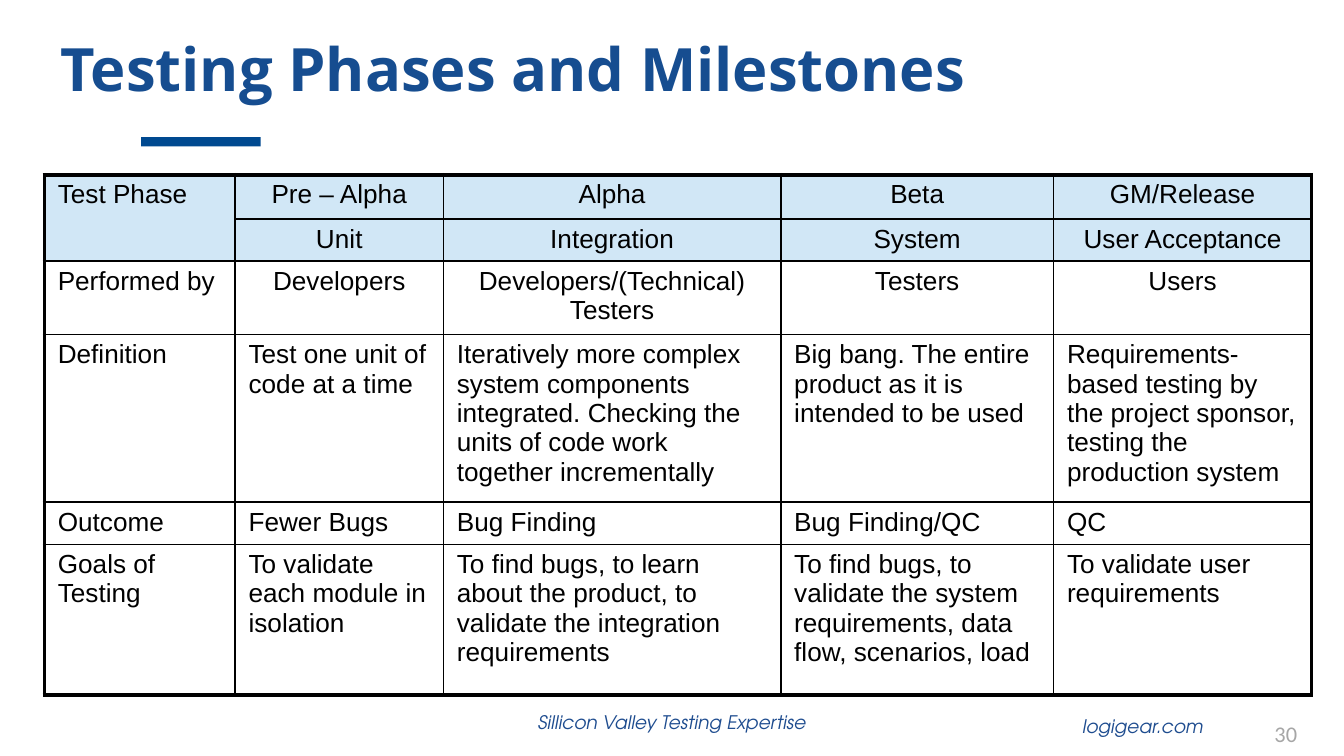
from dataclasses import dataclass

from lxml.etree import SubElement
from pptx import Presentation
from pptx.dml.color import RGBColor
from pptx.enum.shapes import MSO_SHAPE as Shape
from pptx.enum.text import MSO_ANCHOR as Anchor, PP_ALIGN as Align
from pptx.oxml.ns import qn
from pptx.util import Inches, Pt

BLACK = RGBColor(0x00, 0x00, 0x00)
NAVY = RGBColor(0x16, 0x4D, 0x90)
FOOTER_BLUE = RGBColor(0x1E, 0x4C, 0x8F)
BAR_BLUE = RGBColor(0x00, 0x49, 0x90)
HEADER_BLUE = RGBColor(0xD1, 0xE7, 0xF6)
GREY = RGBColor(0xA6, 0xA6, 0xA6)

THIN, THICK = Pt(1), Pt(2.25)
HEADER_ROWS = 2
CENTERED_ROWS = 3
COL_WIDTHS = (1.42, 1.55, 2.51, 2.03, 1.92)
ROW_HEIGHTS = (0.33, 0.31, 0.54, 1.24, 0.31, 1.12)
PHASES = (
    ("Test Phase", "Pre – Alpha", "Alpha", "Beta", "GM/Release"),
    ("", "Unit", "Integration", "System", "User Acceptance"),
    ("Performed by", "Developers", "Developers/(Technical) Testers", "Testers", "Users"),
    (
        "Definition",
        "Test one unit of code at a time",
        "Iteratively more complex system components integrated. "
        "Checking the units of code work together incrementally",
        "Big bang. The entire product as it is intended to be used",
        "Requirements-based testing by the project sponsor, testing the production system",
    ),
    ("Outcome", "Fewer Bugs", "Bug Finding", "Bug Finding/QC", "QC"),
    (
        "Goals of Testing",
        "To validate each module in isolation",
        "To find bugs, to learn about the product, to validate the integration requirements",
        "To find bugs, to validate the system requirements, data flow, scenarios, load",
        "To validate user requirements",
    ),
)


@dataclass(frozen=True)
class Style:
    font: str
    size: float
    color: RGBColor
    bold: bool = False
    italic: bool = False


@dataclass(frozen=True)
class Label:
    text: str
    left: float
    top: float
    width: float
    height: float
    style: Style
    align: Align = Align.LEFT
    inset: float = 0.1


TITLE = Style("Open Sans", 32, NAVY, bold=True)
FOOTER = Style("TeX Gyre Adventor", 10, FOOTER_BLUE, italic=True)
NUMBER = Style("Calibri", 12, GREY)
BODY = Style("Arial", 14, BLACK)

LABELS = (
    Label("logigear.com", 7.46, 5.27, 1.59, 0.27, FOOTER, Align.RIGHT),
    Label("Sillicon Valley Testing Expertise", 3.72, 5.24, 2.56, 0.27, FOOTER, Align.CENTER),
    Label("Testing Phases and Milestones", 0, 0.19, 9, 0.57, TITLE, inset=0.45),
    Label("30", 7.42, 5.31, 2.33, 0.22, NUMBER, Align.RIGHT),
)


def write(tf, text: str, style: Style, align: Align) -> None:
    tf.word_wrap = True
    p = tf.paragraphs[0]
    p.alignment = align
    r = p.add_run()
    r.text = text
    r.font.name = style.font
    r.font.size = Pt(style.size)
    r.font.color.rgb = style.color
    r.font.bold = style.bold
    r.font.italic = style.italic


def add_label(slide, label: Label) -> None:
    box = (label.left, label.top, label.width, label.height)
    tf = slide.shapes.add_textbox(*map(Inches, box)).text_frame
    tf.margin_left = Inches(label.inset)
    tf.vertical_anchor = Anchor.TOP
    write(tf, label.text, label.style, label.align)


def add_bar(slide) -> None:
    sp = slide.shapes.add_shape(
        Shape.RECTANGLE, Inches(1.05), Inches(1.02), Inches(0.89), Inches(0.07)
    )
    sp.shadow.inherit = False
    sp.fill.solid()
    sp.fill.fore_color.rgb = BAR_BLUE
    sp.line.fill.background()


def set_borders(cell, row: int, col: int) -> None:
    outer = {
        "a:lnL": col == 0,
        "a:lnR": col == len(COL_WIDTHS) - 1,
        "a:lnT": row == 0,
        "a:lnB": row == len(ROW_HEIGHTS) - 1,
    }
    tc_pr = cell._tc.get_or_add_tcPr()
    for tag, is_outer in outer.items():
        ln = SubElement(tc_pr, qn(tag), w=str(THICK if is_outer else THIN))
        fill = SubElement(ln, qn("a:solidFill"))
        SubElement(fill, qn("a:srgbClr"), val=str(BLACK))


def fill_cell(cell, row: int, col: int, text: str) -> None:
    cell.margin_left = cell.margin_right = Inches(0.1)
    cell.margin_top = cell.margin_bottom = Inches(0.04)
    cell.vertical_anchor = Anchor.TOP
    set_borders(cell, row, col)
    if row < HEADER_ROWS:
        cell.fill.solid()
        cell.fill.fore_color.rgb = HEADER_BLUE
    else:
        cell.fill.background()
    if text:
        centered = col > 0 and row < CENTERED_ROWS
        write(cell.text_frame, text, BODY, Align.CENTER if centered else Align.LEFT)


def add_phase_table(slide) -> None:
    table = slide.shapes.add_table(
        len(ROW_HEIGHTS), len(COL_WIDTHS), Inches(0.33), Inches(1.3),
        Inches(sum(COL_WIDTHS)), Inches(sum(ROW_HEIGHTS)),
    ).table
    table.first_row = table.horz_banding = False
    for column, width in zip(table.columns, COL_WIDTHS):
        column.width = Inches(width)
    for table_row, height in zip(table.rows, ROW_HEIGHTS):
        table_row.height = Inches(height)
    table.cell(0, 0).merge(table.cell(1, 0))
    for row, texts in enumerate(PHASES):
        for col, text in enumerate(texts):
            fill_cell(table.cell(row, col), row, col, text)


def main() -> None:
    prs = Presentation()
    prs.slide_width = Inches(10)
    prs.slide_height = Inches(10 * 9 / 16)
    slide = prs.slides.add_slide(prs.slide_layouts[6])
    add_bar(slide)
    for label in LABELS:
        add_label(slide, label)
    add_phase_table(slide)
    prs.save("out.pptx")


if __name__ == "__main__":
    main()
